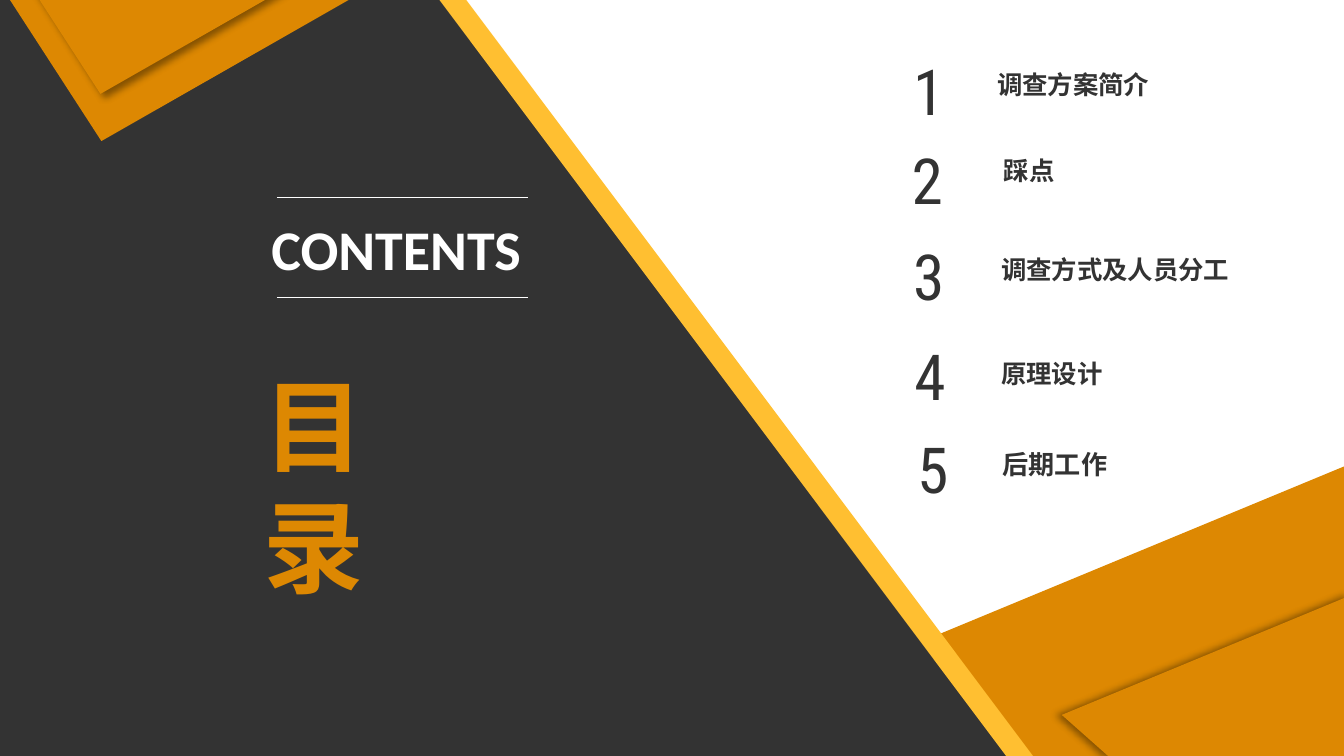
import pptx
import pptx.util
import pptx.dml.color
import pptx.enum.shapes
import pptx.enum.text
import pptx.oxml.ns
from dataclasses import dataclass
from lxml import etree
from pptx.util import Inches


@dataclass(frozen=True)
class Theme:
    dark: str = "333333"
    orange: str = "DD8802"
    yellow: str = "FFBF31"
    white: str = "FFFFFF"
    latin: str = "Calibri"
    cjk: str = "Noto Sans CJK SC"
    digits: str = "Roboto Condensed"
    title: float = 54
    subtitle: float = 30
    number: float = 34
    label: float = 13.6
    last_label: float = 14


T = Theme()
ANCHOR = pptx.enum.text.MSO_ANCHOR
ALIGN = pptx.enum.text.PP_ALIGN
qn = pptx.oxml.ns.qn


def rgb(value):
    return pptx.dml.color.RGBColor.from_string(value)


def paint(sp, color, shadow_angle=None):
    sp.fill.solid()
    sp.fill.fore_color.rgb = rgb(color)
    sp.line.fill.background()
    sp.shadow.inherit = False
    if shadow_angle is not None:
        effects = sp.element.spPr.find(qn("a:effectLst"))
        shadow = etree.SubElement(
            effects, qn("a:outerShdw"), blurRad=str(pptx.util.Pt(4)),
            dist=str(pptx.util.Pt(3)), dir=str(shadow_angle * 60000),
            algn="ctr", rotWithShape="0")
        black = etree.SubElement(shadow, qn("a:srgbClr"), val="000000")
        etree.SubElement(black, qn("a:alpha"), val="40000")


def polygon(s, x, y, points, color, shadow_angle=None):
    corners = [(Inches(x + dx), Inches(y + dy)) for dx, dy in points]
    builder = s.shapes.build_freeform(*corners[0], scale=1.0)
    builder.add_line_segments(corners[1:], close=True)
    paint(builder.convert_to_shape(), color, shadow_angle)


def place(sp, x, y, w, h):
    sp.left, sp.top, sp.width, sp.height = map(Inches, (x, y, w, h))


def write(sp, text, size, color, font, bold=False, align=ALIGN.LEFT,
          anchor=ANCHOR.TOP, wrap=True, inset=(0.1, 0.05)):
    tf = sp.text_frame
    tf.word_wrap = wrap
    tf.auto_size = pptx.enum.text.MSO_AUTO_SIZE.NONE
    tf.vertical_anchor = anchor
    tf.margin_left = tf.margin_right = Inches(inset[0])
    tf.margin_top = tf.margin_bottom = Inches(inset[1])
    p = tf.paragraphs[0]
    p.alignment = align
    r = p.add_run()
    r.text = text
    r.font.size = pptx.util.Pt(size)
    r.font.name = font
    r.font.bold = bold
    r.font.color.rgb = rgb(color)
    latin = r.font._element.find(qn("a:latin"))
    latin.addnext(etree.Element(qn("a:ea"), typeface=T.cjk))


def text_box(s, x, y, w, h, *args, **kwargs):
    sp = s.shapes.add_textbox(*map(Inches, (x, y, w, h)))
    write(sp, *args, **kwargs)


def bottom_corner(s, x, y, w, h):
    polygon(s, x, y, [(0.63, h), (w, h), (w, 0), (0, 1.62)], T.orange)
    polygon(s, x + 1.76, y + 0.98,
            [(0.35, 1.2), (2.15, 1.2), (2.15, 0), (0, 0.89)], T.orange, 180)


def dark_panel(s, x, y, w, h):
    top, stripe = 3.35, 0.2
    left = top - 0.09
    slant = w - left - stripe
    polygon(s, x, y, [(0, 0), (top, 0), (top + slant, h), (0, h)], T.dark)
    polygon(s, x, y, [(left + slant, h), (left, 0), (left + stripe, 0),
                      (left + stripe + slant, h)], T.yellow)


def top_corner(s, x, y, w, h):
    for dx, scale, angle in ((0, 1, None), (0.22, 0.695, 45)):
        sp = s.shapes.add_shape(
            pptx.enum.shapes.MSO_SHAPE.ISOSCELES_TRIANGLE,
            *map(Inches, (x + dx, y, w * scale, h * scale)))
        sp.adjustments[0] = 0.27
        sp.element.spPr.find(qn("a:xfrm")).set("flipV", "1")
        paint(sp, T.orange, angle)


def heading(s, x, y, w, h):
    for dy in (0, 0.74):
        rule = s.shapes.add_connector(
            pptx.enum.shapes.MSO_CONNECTOR.STRAIGHT,
            *map(Inches, (x + 0.2, y + dy, x + 2.07, y + dy)))
        rule.line.color.rgb = rgb(T.white)
        rule.line.width = pptx.util.Pt(0.5)
        etree.SubElement(rule.element.spPr, qn("a:effectLst"))
    text_box(s, x + 0.06, y + 0.08, w - 0.06, 0.61, "CONTENTS", T.subtitle,
             T.white, T.latin, bold=True)
    title = s.shapes.title
    place(title, x, y + 1.19, 1.65, h - 1.19)
    write(title, "目录", T.title, T.orange, T.cjk, bold=True)
    title.element.getparent().append(title.element)


def agenda(s, x, y, items):
    for i, (text, number_x, number_y, label_x, label_y, size) in enumerate(items, 1):
        text_box(s, x + number_x, y + number_y, 0.36, 0.58, str(i), T.number,
                 T.dark, T.digits, align=ALIGN.CENTER, anchor=ANCHOR.MIDDLE,
                 wrap=False, inset=(0, 0))
        text_box(s, x + label_x, y + label_y, 2.4, 0.2, text, size,
                 T.dark, T.latin, bold=True, anchor=ANCHOR.BOTTOM,
                 wrap=False, inset=(0, 0))


def main():
    prs = pptx.Presentation()
    prs.slide_width = Inches(10)
    prs.slide_height = prs.slide_width * 9 // 16
    s = prs.slides.add_slide(prs.slide_layouts[5])
    bottom_corner(s, 6.14, 3.45, 3.91, 2.18)
    dark_panel(s, -0.05, -0.08, 7.74, 5.71)
    top_corner(s, 0.01, -0.1, 2.76, 1.15)
    agenda(s, 6.72, 0.38, [
        ("调查方案简介", 0.01, 0, 0.7, 0.16, T.label),
        ("踩点", 0, 0.66, 0.75, 0.8, T.label),
        ("调查方式及人员分工", 0.01, 1.38, 0.73, 1.54, T.label),
        ("原理设计", 0.02, 2.12, 0.73, 2.31, T.label),
        ("后期工作", 0.04, 2.81, 0.74, 2.99, T.last_label),
    ])
    heading(s, 1.86, 1.47, 2.14, 3.11)
    prs.save("out.pptx")


if __name__ == "__main__":
    main()
